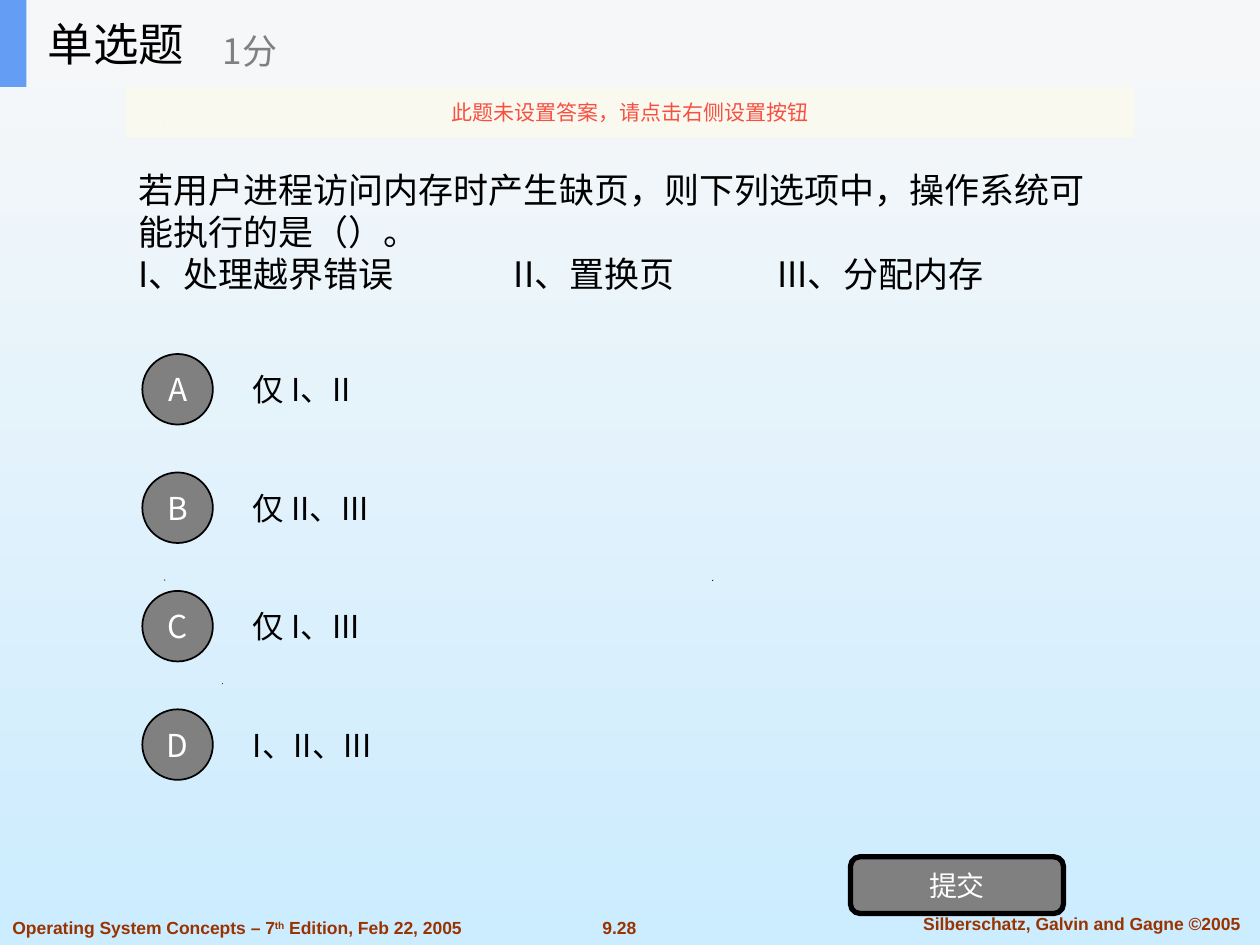
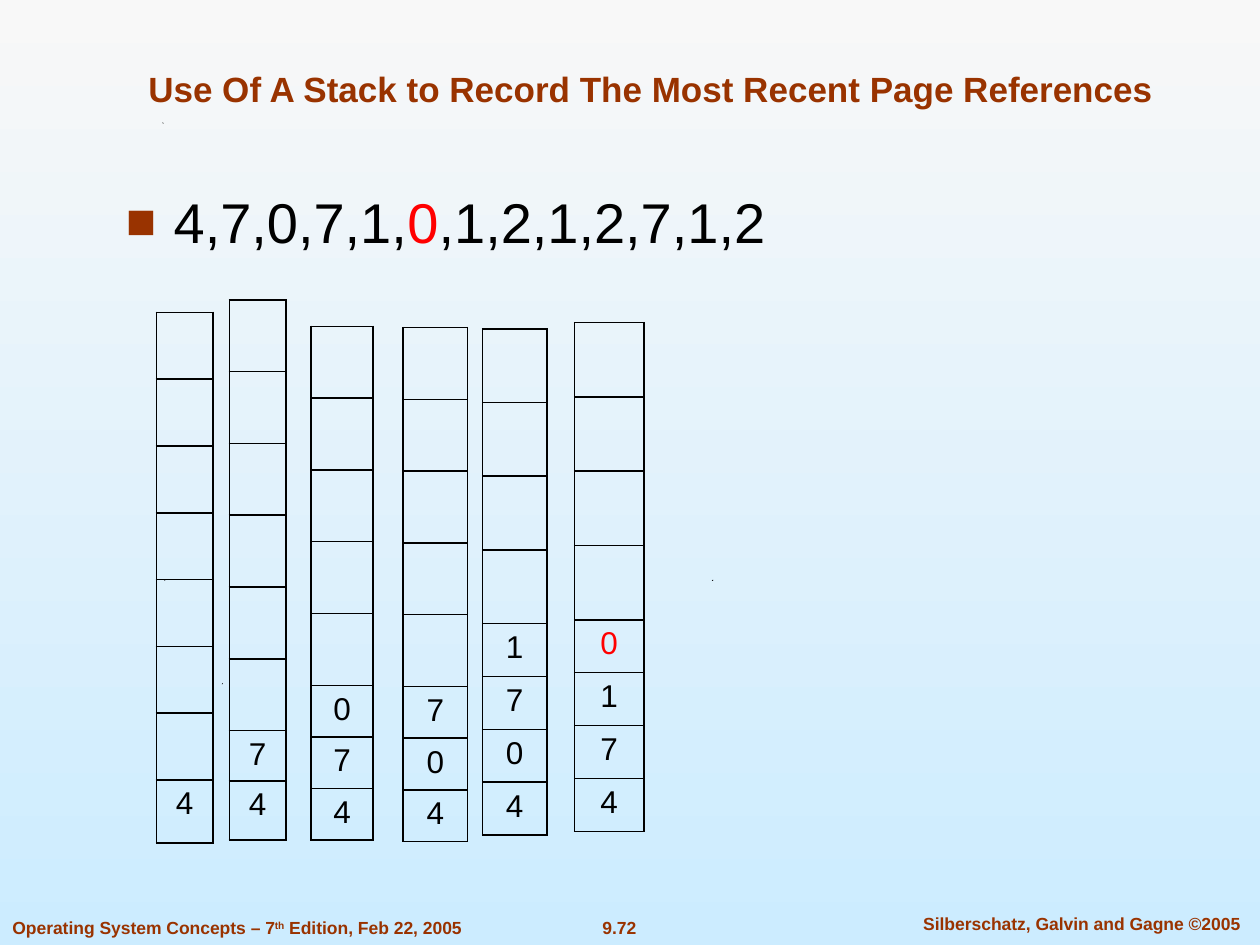
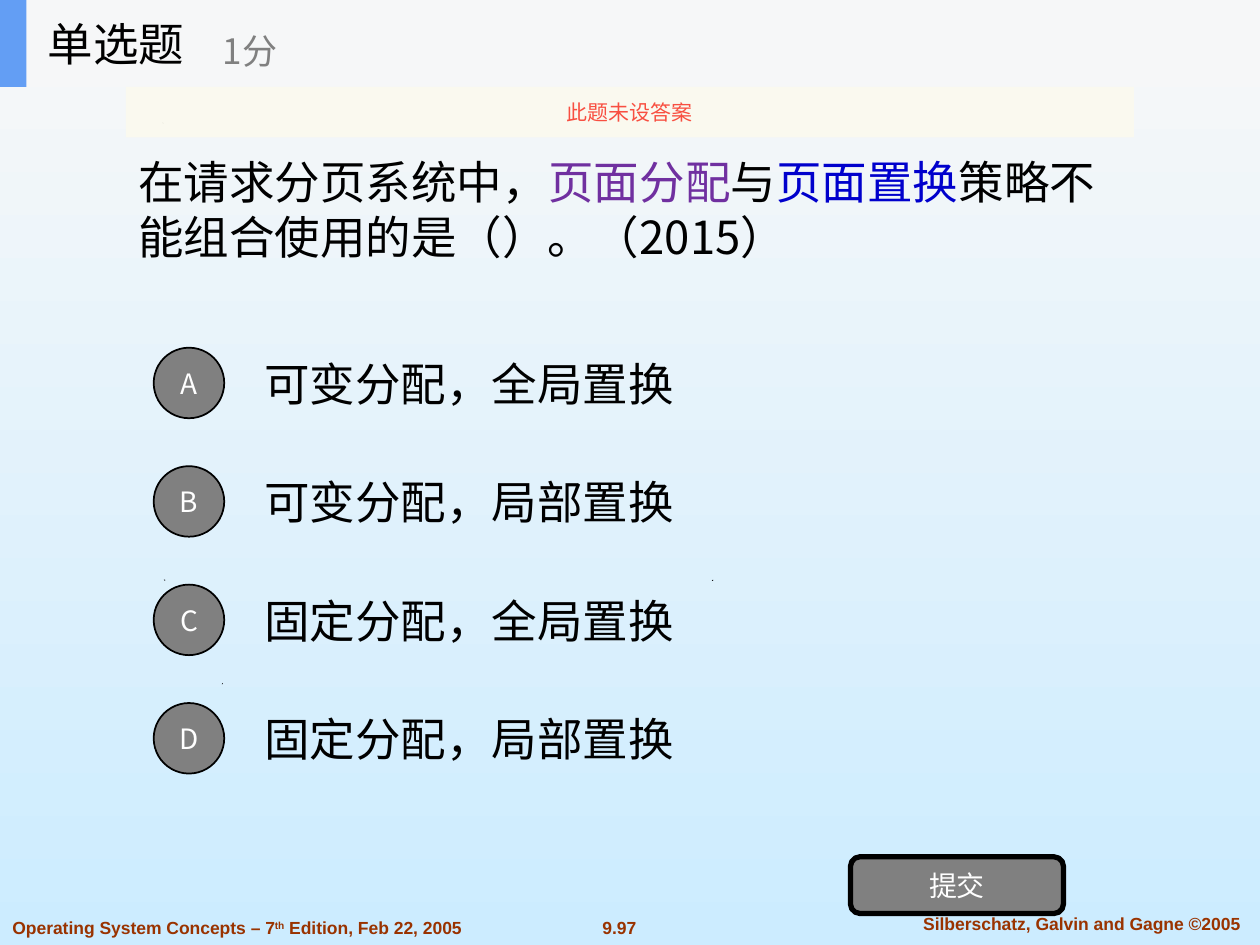
from lxml import etree
from pptx import Presentation
from pptx.dml.color import RGBColor
from pptx.enum import shapes, text
from pptx.oxml import ns
from pptx.util import Inches, Pt

COLORS = {
    "bg_top": "F8F8F8", "bg_bottom": "CCECFF", "brown": "993300",
    "black": "000000", "white": "FFFFFF", "gray": "808080",
    "band": "F6F7F8", "blue": "639EF4", "notice": "FBFAEF",
    "notice_text": "F84F41", "red": "FF0000", "purple": "7030A0", "link": "0000CC",
}
LATIN, CJK = "Arial", "Noto Sans CJK SC"
LEFT, CENTER = text.PP_ALIGN.LEFT, text.PP_ALIGN.CENTER
TOP, MIDDLE, BOTTOM = (text.MSO_ANCHOR.TOP, text.MSO_ANCHOR.MIDDLE,
                       text.MSO_ANCHOR.BOTTOM)
SHAPE = shapes.MSO_SHAPE

EDITION = [("Operating System Concepts – 7", None), ("th", "super"),
           (" Edition, Feb 22, 2005", None)]
AUTHORS = "Silberschatz, Galvin and Gagne ©2005"
# Small marks of the shared background, in hundredths of an inch
SPECKS = [
    [(176, 543), (177, 542), (177, 543)],
    [(130, 460), (131, 460), (131, 461)],
    [(565, 461), (566, 460), (566, 461)],
    [(129, 98), (129, 97), (130, 98)],
]

PAGE_FAULT = {
    "page": "9.28",
    "notice": "此题未设置答案，请点击右侧设置按钮",
    "stem": ["若用户进程访问内存时产生缺页，则下列选项中，操作系统可能执行的是（）。",
             "I、处理越界错误\tII、置换页\tIII、分配内存"],
    "stem_box": (1, 0.93, 7.87, 1.81), "stem_size": 20, "tabs": [2.98, 5.07],
    "options": ["仅 I、II", "仅 II、III", "仅 I、III", "I、II、III"],
    "option_at": (1.91, 2.74), "option_size": 18, "letter_size": 18,
}
ALLOCATION = {
    "page": "9.97",
    "notice": "此题未设答案",
    "stem": [[("在请求分页系统中，", None), ("页面分配", "purple"), ("与", None),
              ("页面置换", "link"), ("策略不能组合使用的是（）。（2015）", None)]],
    "stem_box": (1, 0.81, 8, 1.69), "stem_size": 26, "tabs": [],
    "options": ["可变分配，全局置换", "可变分配，局部置换",
                "固定分配，全局置换", "固定分配，局部置换"],
    "option_at": (2, 2.69), "option_size": 26, "letter_size": 16,
}
OPTION_PITCH = 0.94

STACK_TITLE = "Use Of A Stack to Record The Most Recent Page References"
REFERENCES = [("4,7,0,7,1,", None), ("0", "red"), (",1,2,1,2,7,1,2", None)]
STACK_DEPTH = 8
# left, top, width, empty row height, filled row height, bottom row height, values
STACKS = [
    (1.24, 2.48, 0.45, 0.53, 0.5, 0.5, "4"),
    (1.82, 2.38, 0.45, 0.57, 0.4, 0.47, "74"),
    (2.47, 2.59, 0.49, 0.57, 0.41, 0.41, "074"),
    (3.2, 2.6, 0.51, 0.57, 0.41, 0.41, "704"),
    (3.83, 2.61, 0.51, 0.585, 0.42, 0.42, "1704"),
    (4.56, 2.56, 0.55, 0.59, 0.42, 0.42, "0174"),
]


def rgb(name):
    return RGBColor.from_string(COLORS[name])


def sub(parent, tag, **attrs):
    return etree.SubElement(parent, ns.qn(tag), {k: str(v) for k, v in attrs.items()})


def style_paragraph(p, size, color, font, align=LEFT, bold=False):
    p.alignment = align
    p.font.size, p.font.name, p.font.bold = Pt(size), font, bold
    p.font.color.rgb = rgb(color)
    sub(p._p.pPr.find(ns.qn("a:defRPr")), "a:ea", typeface=font)


def write(sp, paragraphs, size, color="black", font=CJK, align=LEFT,
          anchor=MIDDLE, bold=False, tabs=(), bullet=False):
    """Fill a shape; each paragraph is a string or a list of (text, mark) runs."""
    tf = sp.text_frame
    tf.word_wrap, tf.vertical_anchor = True, anchor
    for i, runs in enumerate(paragraphs):
        p = tf.paragraphs[0] if i == 0 else tf.add_paragraph()
        pPr = p._p.get_or_add_pPr()
        if bullet:
            pPr.set("marL", str(Inches(0.38)))
            pPr.set("indent", str(-Inches(0.38)))
            sub(sub(pPr, "a:buClr"), "a:srgbClr", val=COLORS["brown"])
            sub(pPr, "a:buSzPct", val=90000)
            sub(pPr, "a:buFont", typeface=LATIN)
            sub(pPr, "a:buChar", char="■")
        if tabs:
            stops = sub(pPr, "a:tabLst")
            for stop in tabs:
                sub(stops, "a:tab", pos=Inches(stop), algn="l")
        style_paragraph(p, size, color, font, align, bold)
        for content, mark in [(runs, None)] if isinstance(runs, str) else runs:
            r = p.add_run()
            r.text = content
            if mark == "super":
                r._r.get_or_add_rPr().set("baseline", "30000")
            elif mark:
                r.font.color.rgb = rgb(mark)


def add_text(s, box, paragraphs, size, **style):
    write(s.shapes.add_textbox(*map(Inches, box)), paragraphs, size, **style)


def add_block(s, kind, box, fill, line=None):
    sp = s.shapes.add_shape(kind, *map(Inches, box))
    sp.shadow.inherit = False
    sp.fill.solid()
    sp.fill.fore_color.rgb = rgb(fill)
    if line:
        sp.line.color.rgb, sp.line.width = rgb("black"), Pt(line)
    else:
        sp.line.fill.background()
    return sp


def set_background(prs):
    fill = prs.slide_master.background.fill
    fill.gradient()
    fill.gradient_angle = 270
    for stop, name in zip(fill.gradient_stops, ("bg_top", "bg_bottom")):
        stop.color.rgb = rgb(name)


def new_slide(prs, page):
    """Add a blank slide with the shared specks and footer."""
    s = prs.slides.add_slide(prs.slide_layouts[6])
    for start, *rest in SPECKS:
        builder = s.shapes.build_freeform(*start, scale=Inches(0.01))
        builder.add_line_segments(rest)
        sp = builder.convert_to_shape()
        sp.shadow.inherit = False
        sp.fill.solid()
        sp.fill.fore_color.rgb = rgb("black")
        sp.line.fill.background()
    for box, content, align in [((4.67, 7.23, 0.49, 0.27), page, CENTER),
                                ((7.17, 7.2, 2.83, 0.27), AUTHORS, CENTER),
                                ((0, 7.23, 4, 0.27), EDITION, LEFT)]:
        add_text(s, box, [content], 10, color="brown", font=LATIN,
                 align=align, anchor=TOP, bold=True)
    return s


def add_question(prs, q):
    s = new_slide(prs, q["page"])
    add_text(s, q["stem_box"], q["stem"], q["stem_size"], tabs=q["tabs"])

    left, top = q["option_at"]
    for i, (letter, option) in enumerate(zip("ABCD", q["options"])):
        y = top + i * OPTION_PITCH
        add_text(s, (left, y, 7, 0.7), [option], q["option_size"])
        circle = add_block(s, SHAPE.OVAL, (left - 0.78, y + 0.07, 0.56, 0.56), "gray", 1)
        circle.text_frame.margin_left = circle.text_frame.margin_right = 0
        write(circle, [letter], q["letter_size"], color="white", align=CENTER)

    submit = add_block(s, SHAPE.ROUNDED_RECTANGLE, (6.75, 6.8, 1.69, 0.45), "gray", 3)
    write(submit, ["提交"], 16, color="white", align=CENTER)

    add_block(s, SHAPE.RECTANGLE, (0, 0, 10, 0.69), "band")
    add_block(s, SHAPE.RECTANGLE, (0, 0, 0.21, 0.69), "blue")
    add_text(s, (0.28, 0, 2.08, 0.69), ["单选题"], 26)
    add_text(s, (1.67, 0.12, 2.5, 0.56), ["1分"], 20, color="gray")

    notice = add_block(s, SHAPE.RECTANGLE, (1, 0.69, 8, 0.4), "notice")
    sub(notice._element.spPr.find(".//" + ns.qn("a:srgbClr")), "a:alpha", val=90000)
    write(notice, [q["notice"]], 12, color="notice_text", align=CENTER)


def outline_cell(cell):
    tcPr = cell._tc.get_or_add_tcPr()
    for i, side in enumerate(("a:lnL", "a:lnR", "a:lnT", "a:lnB")):
        ln = etree.Element(ns.qn(side), w=str(Pt(1)))
        sub(sub(ln, "a:solidFill"), "a:srgbClr", val=COLORS["black"])
        tcPr.insert(i, ln)


def add_stack(s, left, top, width, empty_h, filled_h, bottom_h, values):
    empty = STACK_DEPTH - len(values)
    heights = [empty_h] * empty + [filled_h] * (len(values) - 1) + [bottom_h]
    frame = s.shapes.add_table(STACK_DEPTH, 1, *map(Inches, (left, top, width, sum(heights))))
    table = frame.table
    table.first_row = table.horz_banding = False
    for i, height in enumerate(heights):
        table.rows[i].height = Inches(height)
        cell = table.cell(i, 0)
        cell.fill.background()
        outline_cell(cell)
        if i >= empty:
            value = values[i - empty]
            newest_hit = len(values) == 4 and value == "0" and i == empty
            p = cell.text_frame.paragraphs[0]
            style_paragraph(p, 18, "red" if newest_hit else "black", LATIN, CENTER)
            p.add_run().text = value


def add_stack_slide(prs):
    s = new_slide(prs, "9.72")
    add_text(s, (0.75, 0.25, 8.83, 0.67), [STACK_TITLE], 20, color="brown",
             font=LATIN, align=CENTER, anchor=BOTTOM, bold=True)
    add_text(s, (0.9, 1.44, 8.04, 0.73), [REFERENCES], 32, font=LATIN,
             anchor=TOP, bullet=True)
    for stack in STACKS:
        add_stack(s, *stack)


def main():
    prs = Presentation()
    prs.slide_width, prs.slide_height = Inches(10), Inches(7.5)
    set_background(prs)
    add_question(prs, PAGE_FAULT)
    add_stack_slide(prs)
    add_question(prs, ALLOCATION)
    prs.save("out.pptx")


if __name__ == "__main__":
    main()
